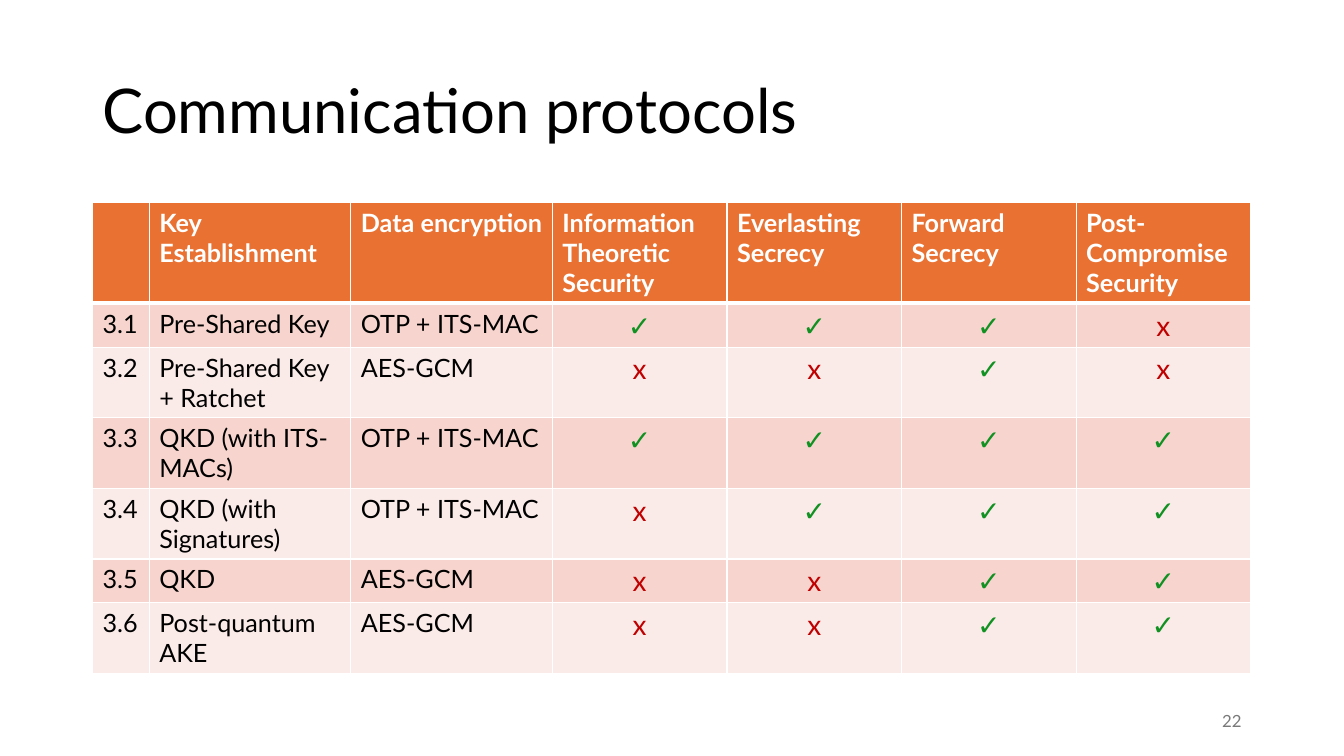
import pptx
import pptx.util
import pptx.dml.color
import pptx.enum.text
import pptx.oxml
from pptx.util import Cm

FONT = "Lato"
COLORS = {
    "header": "E97132", "odd": "F7D5CE", "even": "FBEBE8", "white": "FFFFFF",
    "black": "000000", "yes": "109121", "no": "C00000", "number": "797979",
}
ALIGN = pptx.enum.text.PP_ALIGN
MIDDLE = pptx.enum.text.MSO_ANCHOR.MIDDLE
COLUMN_WIDTHS = [1.43, 5.08, 5.08] + [4.4] * 4
ROW_HEIGHT = 1.04
HEADER = ["", "Key Establishment", "Data encryption", "Information Theoretic Security",
          "Everlasting Secrecy", "Forward Secrecy", "Post-Compromise Security"]
PROTOCOLS = [
    ("Pre-Shared Key", "OTP + ITS-MAC", "✓✓✓x"),
    ("Pre-Shared Key + Ratchet", "AES-GCM", "xx✓x"),
    ("QKD (with ITS-MACs)", "OTP + ITS-MAC", "✓✓✓✓"),
    ("QKD (with Signatures)", "OTP + ITS-MAC", "x✓✓✓"),
    ("QKD", "AES-GCM", "xx✓✓"),
    ("Post-quantum AKE", "AES-GCM", "xx✓✓"),
]


def rgb(name):
    """Return the named colour."""
    return pptx.dml.color.RGBColor.from_string(COLORS[name])


def write(tf, text, size, color, bold=False, align=ALIGN.LEFT):
    """Put one formatted paragraph into a text frame."""
    tf.text = text
    p = tf.paragraphs[0]
    p.alignment = align
    for r in p.runs:
        r.font.name = FONT
        r.font.size = pptx.util.Pt(size)
        r.font.bold = bold
        r.font.color.rgb = rgb(color)


def style_cell(cell, fill, top, bottom):
    """Give a cell white borders, with widths in points, and a fill."""
    tc_pr = cell._tc.get_or_add_tcPr()
    for side, width in (("L", 1), ("R", 1), ("T", top), ("B", bottom)):
        tc_pr.append(pptx.oxml.parse_xml(
            f'<a:ln{side} xmlns:a="http://schemas.openxmlformats.org/drawingml/2006/main" '
            f'w="{pptx.util.Pt(width)}"><a:solidFill><a:srgbClr val="{COLORS["white"]}"/>'
            f'</a:solidFill></a:ln{side}>'))
    cell.fill.solid()
    cell.fill.fore_color.rgb = rgb(fill)


def add_title(s, left, top, width, height):
    """Place the slide title."""
    sp = s.shapes.title
    sp.left, sp.top, sp.width, sp.height = Cm(left), Cm(top), Cm(width), Cm(height)
    tf = sp.text_frame
    write(tf, "Communication protocols", 44, "black")
    tf.auto_size = pptx.enum.text.MSO_AUTO_SIZE.NONE
    tf.vertical_anchor = MIDDLE
    tf.paragraphs[0].line_spacing = 0.9


def add_protocol_table(s, left, top):
    """Place the table that compares the protocols."""
    rows = [HEADER] + [[f"3.{i}", key, cipher, *marks]
                       for i, (key, cipher, marks) in enumerate(PROTOCOLS, 1)]
    table = s.shapes.add_table(len(rows), len(HEADER), Cm(left), Cm(top),
                               Cm(sum(COLUMN_WIDTHS)), Cm(ROW_HEIGHT * len(rows))).table
    for column, width in zip(table.columns, COLUMN_WIDTHS):
        column.width = Cm(width)
    for i, values in enumerate(rows):
        table.rows[i].height = Cm(ROW_HEIGHT)
        fill = "header" if i == 0 else "odd" if i % 2 else "even"
        for j, value in enumerate(values):
            cell = table.cell(i, j)
            style_cell(cell, fill, 3 if i == 1 else 1, 3 if i == 0 else 1)
            if i == 0:
                write(cell.text_frame, value, 18, "white", bold=True)
            elif j < 3:
                write(cell.text_frame, value, 18, "black")
            else:
                write(cell.text_frame, value, 20, "yes" if value == "✓" else "no",
                      align=ALIGN.CENTER)


def add_slide_number(s, left, top, width, height):
    """Place the slide number."""
    tf = s.shapes.add_textbox(Cm(left), Cm(top), Cm(width), Cm(height)).text_frame
    tf.word_wrap = True
    tf.vertical_anchor = MIDDLE
    write(tf, "22", 12, "number", align=ALIGN.RIGHT)


def main():
    """Build the slide and save it."""
    prs = pptx.Presentation()
    prs.slide_width, prs.slide_height = Cm(33.87), Cm(19.05)
    s = prs.slides.add_slide(prs.slide_layouts[5])
    add_title(s, 2.33, 1.01, 29.21, 3.68)
    add_protocol_table(s, 2.33, 5.1)
    add_slide_number(s, 23.92, 17.66, 7.62, 1.01)
    prs.save("out.pptx")


if __name__ == "__main__":
    main()
